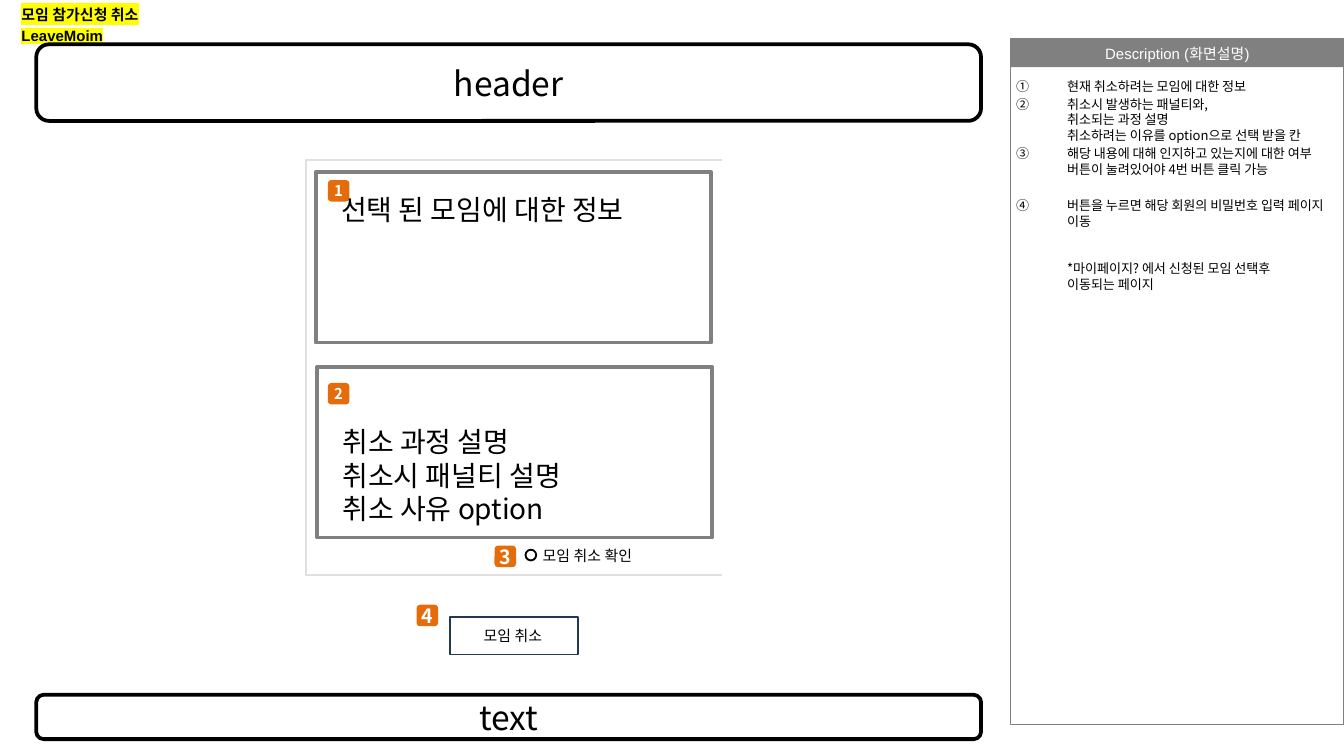
from lxml import etree
from pptx import Presentation
from pptx.dml.color import RGBColor
from pptx.enum.shapes import MSO_SHAPE
from pptx.enum.text import MSO_ANCHOR, MSO_AUTO_SIZE, PP_ALIGN
from pptx.oxml.ns import qn
from pptx.util import Inches, Pt

BLACK = RGBColor(0x00, 0x00, 0x00)
WHITE = RGBColor(0xFF, 0xFF, 0xFF)
GRAY = RGBColor(0x80, 0x80, 0x80)
LIGHT_GRAY = RGBColor(0xE0, 0xE0, 0xE0)
ORANGE = RGBColor(0xE4, 0x6C, 0x0A)
NAVY = RGBColor(0x23, 0x39, 0x53)
YELLOW = RGBColor(0xFF, 0xFF, 0x00)
KOREAN_FONT = "Noto Sans CJK KR"
LATIN_FONT = "Arial"
RECTANGLE = MSO_SHAPE.RECTANGLE
ROUNDED = MSO_SHAPE.ROUNDED_RECTANGLE
OVAL = MSO_SHAPE.OVAL
TOP, MIDDLE = MSO_ANCHOR.TOP, MSO_ANCHOR.MIDDLE
LEFT, CENTER = PP_ALIGN.LEFT, PP_ALIGN.CENTER
NO_AUTOFIT = MSO_AUTO_SIZE.NONE

presentation = Presentation()
presentation.slide_width = Inches(10)
presentation.slide_height = Inches(10) * 9 // 16
slide = presentation.slides.add_slide(presentation.slide_layouts[1])


def add_box(kind, box, fill=None, line=None, line_width=1):
    shape = slide.shapes.add_shape(kind, *[Inches(value) for value in box])
    shape.shadow.inherit = False
    if fill is None:
        shape.fill.background()
    else:
        shape.fill.solid()
        shape.fill.fore_color.rgb = fill
    if line is None:
        shape.line.fill.background()
    else:
        shape.line.color.rgb = line
        shape.line.width = Pt(line_width)
    return shape


def write_lines(paragraph, lines, size, color=BLACK, bold=False, font=KOREAN_FONT):
    """Add one run per line, with line breaks between them."""
    for number, line in enumerate(lines):
        if number:
            paragraph.add_line_break()
        run = paragraph.add_run()
        run.text = line
        run.font.size = Pt(size)
        run.font.bold = bold
        run.font.color.rgb = color
        run.font.name = font
        properties = run.font._element
        properties.set("kern", "0")
        etree.SubElement(properties, qn("a:ea")).set("typeface", KOREAN_FONT)


# Page heading
heading = slide.shapes.title
heading.left, heading.top = Inches(0.16), Inches(-0.01)
heading.width, heading.height = Inches(1.1), Inches(0.31)
frame = heading.text_frame
frame.word_wrap = False
frame.auto_size = NO_AUTOFIT
frame.vertical_anchor = TOP
frame.margin_left = frame.margin_right = 0
for number, line in enumerate(["모임 참가신청 취소", "LeaveMoim"]):
    paragraph = frame.add_paragraph() if number else frame.paragraphs[0]
    paragraph.alignment = LEFT
    paragraph.space_before = Pt(1.6)
    write_lines(paragraph, [line], 8, bold=True, font=LATIN_FONT)
    properties = paragraph.runs[0].font._element
    highlight = etree.Element(qn("a:highlight"))
    etree.SubElement(highlight, qn("a:srgbClr")).set("val", str(YELLOW))
    properties.find(qn("a:solidFill")).addnext(highlight)

# Description panel
panel_title = add_box(RECTANGLE, (7.52, 0.29, 2.48, 0.21), GRAY)
frame = panel_title.text_frame
frame.word_wrap = False
frame.vertical_anchor = MIDDLE
frame.margin_top = frame.margin_bottom = Inches(0.04)
frame.paragraphs[0].alignment = CENTER
write_lines(frame.paragraphs[0], ["Description (화면설명)"], 8, WHITE, font=LATIN_FONT)
add_box(RECTANGLE, (7.52, 0.29, 2.48, 5.1), line=GRAY, line_width=0.75)

# Each item: numbered or not, space before in points, lines
descriptions = [
    (True, 1.4, ["현재 취소하려는 모임에 대한 정보"]),
    (True, 1.4, ["취소시 발생하는 패널티와,", "취소되는 과정 설명",
                 "취소하려는 이유를 option으로 선택 받을 칸"]),
    (True, 1.4, ["해당 내용에 대해 인지하고 있는지에 대한 여부",
                 "버튼이 눌려있어야 4번 버튼 클릭 가능"]),
    (True, 11, ["버튼을 누르면 해당 회원의 비밀번호 입력 페이지 이동"]),
    (False, 17, ["*마이페이지? 에서 신청된 모임 선택후", "이동되는 페이지"]),
]
description = slide.placeholders[1]
description.left, description.top = Inches(7.52), Inches(0.53)
description.width, description.height = Inches(2.48), Inches(4.88)
frame = description.text_frame
frame.word_wrap = True
frame.auto_size = NO_AUTOFIT
frame.margin_left, frame.margin_right = Inches(0.04), 0
for number, (numbered, space_before, lines) in enumerate(descriptions):
    paragraph = frame.add_paragraph() if number else frame.paragraphs[0]
    paragraph.space_before = Pt(space_before)
    properties = paragraph._p.get_or_add_pPr()
    properties.set("marL", str(Inches(0.38)))
    properties.set("indent", str(Inches(-0.38) if numbered else 0))
    if numbered:
        bullet = etree.SubElement(properties, qn("a:buAutoNum"))
        bullet.set("type", "circleNumDbPlain")
    else:
        etree.SubElement(properties, qn("a:buNone"))
    write_lines(paragraph, lines, 7)

# Header and footer bars
for label, top, height in [("header", 0.33, 0.57), ("text", 5.17, 0.33)]:
    bar = add_box(ROUNDED, (0.27, top, 7.03, height), WHITE, BLACK, 2)
    bar.text_frame.vertical_anchor = MIDDLE
    bar.text_frame.paragraphs[0].alignment = CENTER
    write_lines(bar.text_frame.paragraphs[0], [label], 18)

# Content area, open on its right side
builder = slide.shapes.build_freeform(Inches(5.37), Inches(1.19))
builder.add_line_segments(
    [(Inches(x), Inches(y)) for x, y in [(2.28, 1.19), (2.28, 4.28), (5.37, 4.28)]],
    close=False)
content_area = builder.convert_to_shape()
content_area.shadow.inherit = False
content_area.fill.background()
content_area.line.color.rgb = LIGHT_GRAY
content_area.line.width = Pt(1)

# Information frames, confirmation circle and cancel button
add_box(RECTANGLE, (2.35, 1.28, 2.94, 1.27), line=GRAY, line_width=2)
add_box(RECTANGLE, (2.36, 2.73, 2.94, 1.27), line=GRAY, line_width=2)
add_box(OVAL, (3.91, 4.09, 0.08, 0.08), line=BLACK)
add_box(RECTANGLE, (3.35, 4.59, 0.95, 0.28), line=NAVY)

# Numbered badges
badges = [(2.44, 1.34, 8), (2.44, 2.85, 8), (3.68, 4.06, 10.5), (3.1, 4.5, 10.5)]
for number, (left, top, size) in enumerate(badges, start=1):
    badge = add_box(ROUNDED, (left, top, 0.16, 0.16), ORANGE)
    frame = badge.text_frame
    frame.vertical_anchor = MIDDLE
    frame.margin_left = frame.margin_right = 0
    frame.paragraphs[0].alignment = CENTER
    write_lines(frame.paragraphs[0], [str(number)], size, WHITE, bold=True)

# Labels
labels = [
    ((2.44, 1.38, 2.76, 0.61), 15, ["선택 된 모임에 대한 정보"]),
    ((2.45, 3.11, 2.76, 0.86), 15,
     ["취소 과정 설명", "취소시 패널티 설명", "취소 사유 option"]),
    ((3.94, 4.02, 1.14, 0.24), 8, ["모임 취소 확인"]),
    ((3.5, 4.61, 0.75, 0.24), 8, ["모임 취소"]),
]
for box, size, lines in labels:
    label = slide.shapes.add_textbox(*[Inches(value) for value in box])
    frame = label.text_frame
    frame.word_wrap = True
    for number, line in enumerate(lines):
        paragraph = frame.add_paragraph() if number else frame.paragraphs[0]
        write_lines(paragraph, [line], size)

presentation.save("out.pptx")
